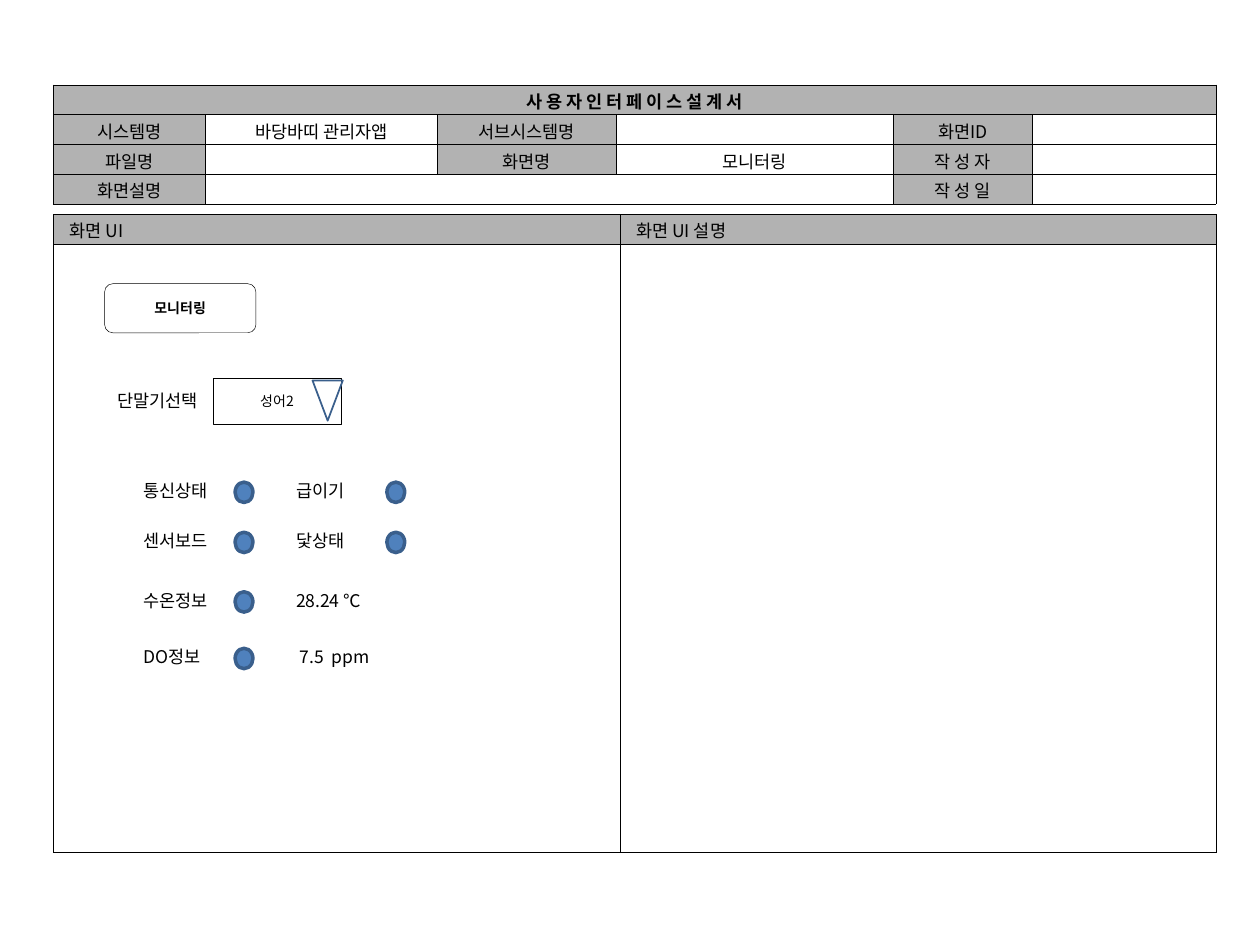
from lxml.etree import SubElement
from pptx import Presentation
from pptx.dml.color import RGBColor
from pptx.enum.shapes import MSO_SHAPE
from pptx.enum.text import MSO_ANCHOR, PP_ALIGN
from pptx.oxml.ns import qn
from pptx.util import Cm, Pt

COLORS = {"ink": "000000", "header": "B2B2B2", "paper": "FFFFFF",
          "dot": "4F81BD", "outline": "3A5F8C"}
FONT = "Noto Sans CJK KR"
ROW_HEIGHT = 0.6


class ScreenSpec:
    """Hold the style and the current slide of a screen specification."""

    def __init__(self, slide):
        self.slide = slide

    def color(self, name):
        return RGBColor.from_string(COLORS[name])

    def set_text(self, frame, text, size=10, bold=False, align=PP_ALIGN.LEFT):
        frame.text = text
        paragraph = frame.paragraphs[0]
        paragraph.alignment = align
        for run in paragraph.runs:
            run.font.size = Pt(size)
            run.font.bold = bold
            run.font.name = FONT
            run.font.color.rgb = self.color("ink")
            SubElement(run._r.rPr, qn("a:ea"), typeface=FONT)
        if not text:
            SubElement(paragraph._p, qn("a:endParaRPr"), sz=str(size * 100))

    def label(self, text, left, top, width):
        box = self.slide.shapes.add_textbox(Cm(left), Cm(top), Cm(width), Cm(0.69))
        box.text_frame.word_wrap = False
        box.text_frame.vertical_anchor = MSO_ANCHOR.MIDDLE
        self.set_text(box.text_frame, text)

    def shape(self, kind, left, top, width, height, fill="paper", line="ink",
              weight=0.25, text=None, bold=False):
        shape = self.slide.shapes.add_shape(kind, Cm(left), Cm(top), Cm(width), Cm(height))
        shape.shadow.inherit = False
        if fill:
            shape.fill.solid()
            shape.fill.fore_color.rgb = self.color(fill)
        else:
            shape.fill.background()
        shape.line.color.rgb = self.color(line)
        shape.line.width = Pt(weight)
        if text:
            shape.text_frame.word_wrap = False
            shape.text_frame.vertical_anchor = MSO_ANCHOR.MIDDLE
            self.set_text(shape.text_frame, text, 8, bold, PP_ALIGN.CENTER)
        return shape

    def dot(self, left, top):
        self.shape(MSO_SHAPE.OVAL, left, top, 0.36, 0.41, "dot", "outline", 2)

    def table(self, left, top, widths, heights):
        table = self.slide.shapes.add_table(
            len(heights), len(widths), Cm(left), Cm(top),
            Cm(sum(widths)), Cm(sum(heights))).table
        table.first_row = table.horz_banding = False
        for column, width in zip(table.columns, widths):
            column.width = Cm(width)
        for row, height in zip(table.rows, heights):
            row.height = Cm(height)
        return table

    def cell(self, cell, text, shaded, bold=False, align=PP_ALIGN.CENTER):
        cell.margin_left = cell.margin_right = Cm(0.33)
        cell.margin_top, cell.margin_bottom = Cm(0.05), Cm(0)
        cell.vertical_anchor = MSO_ANCHOR.MIDDLE
        for side in ("a:lnL", "a:lnR", "a:lnT", "a:lnB"):
            border = SubElement(cell._tc.get_or_add_tcPr(), qn(side), w=str(Pt(0.25)))
            fill = SubElement(border, qn("a:solidFill"))
            SubElement(fill, qn("a:srgbClr"), val=COLORS["ink"])
        cell.fill.solid()
        cell.fill.fore_color.rgb = self.color("header" if shaded else "paper")
        self.set_text(cell.text_frame, text, bold=bold, align=align)

    def summary(self, title, rows):
        table = self.table(1.07, 1.71, [3.07, 4.67, 3.61, 5.59, 2.79, 3.71],
                           [ROW_HEIGHT] * (len(rows) + 1))
        for column in range(6):
            self.cell(table.cell(0, column), "" if column else title, True, True)
        for number, texts in enumerate(rows, 1):
            for column, text in enumerate(texts):
                shaded = column % 2 == 0 and text != ""
                self.cell(table.cell(number, column), text, shaded)
        table.cell(0, 0).merge(table.cell(0, 5))
        table.cell(3, 1).merge(table.cell(3, 3))

    def panel(self, heading, left, width):
        table = self.table(left, 4.32, [width], [ROW_HEIGHT, 12.25])
        self.cell(table.cell(0, 0), heading, True, align=PP_ALIGN.JUSTIFY)
        self.cell(table.cell(1, 0), "", False)


def main():
    presentation = Presentation()
    presentation.slide_width, presentation.slide_height = Cm(25.4), Cm(19.05)
    spec_sheet = ScreenSpec(presentation.slides.add_slide(presentation.slide_layouts[6]))

    spec_sheet.panel("화면 UI", 1.08, 11.43)
    spec_sheet.summary("사 용 자 인 터 페 이 스 설 계 서", [
        ["시스템명", "바당바띠 관리자앱", "서브시스템명", "", "화면ID", ""],
        ["파일명", "", "화면명", "모니터링", "작 성 자", ""],
        ["화면설명", "", "", "", "작 성 일", ""],
    ])
    spec_sheet.panel("화면 UI 설명", 12.5, 12.02)

    spec_sheet.shape(MSO_SHAPE.ROUNDED_RECTANGLE, 2.11, 5.72, 3.05, 0.99,
                     text="모니터링", bold=True)
    spec_sheet.label("단말기선택", 2.11, 7.72, 2.29)
    spec_sheet.shape(MSO_SHAPE.RECTANGLE, 4.29, 7.62, 2.59, 0.94, text="성어2")
    arrow = spec_sheet.shape(MSO_SHAPE.ISOSCELES_TRIANGLE, 6.3, 7.67, 0.61, 0.81,
                             None, "outline", 1)
    arrow.rotation = 180

    status_rows = [
        (9.55, "통신상태", 1.93, "급이기", 1.57, True),
        (10.56, "센서보드", 1.93, "닻상태", 1.57, True),
        (11.76, "수온정보", 1.93, "28.24 ℃", 1.83, False),
        (12.9, "DO정보", 1.75, " 7.5  ppm", 2.11, False),
    ]
    for top, item, item_width, reading, reading_width, has_dot in status_rows:
        spec_sheet.dot(4.74, top + 0.17)
        spec_sheet.label(item, 2.64, top, item_width)
        spec_sheet.label(reading, 5.72, top, reading_width)
        if has_dot:
            spec_sheet.dot(7.8, top + 0.17)

    presentation.save("out.pptx")


if __name__ == "__main__":
    main()
